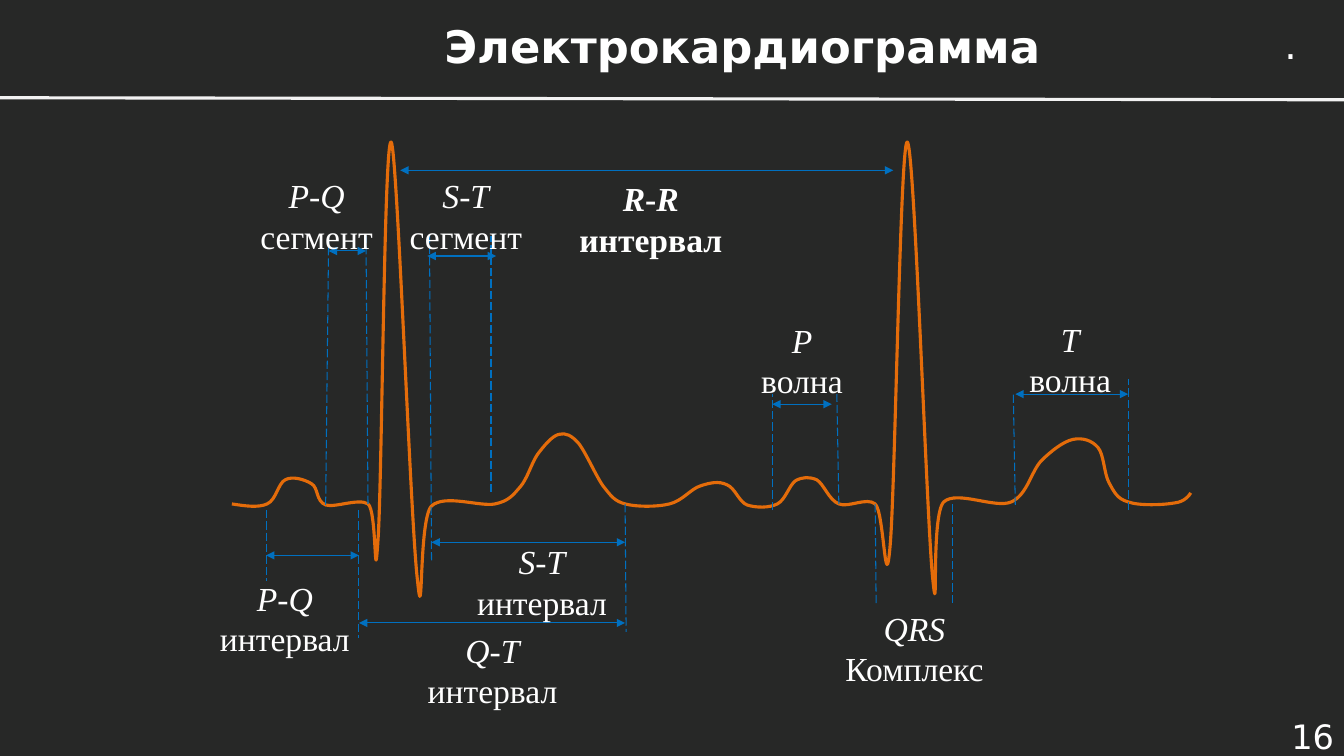
from typing import NamedTuple

from lxml.etree import SubElement
from pptx import Presentation
from pptx.dml.color import RGBColor
from pptx.enum.dml import MSO_LINE
from pptx.enum.shapes import MSO_CONNECTOR
from pptx.enum.text import MSO_ANCHOR, PP_ALIGN
from pptx.oxml.ns import qn
from pptx.shapes.shapetree import GroupShapes, SlideShapes
from pptx.util import Emu, Pt

PX = 9144  # 100 px to the inch

DARK = RGBColor(0x27, 0x28, 0x27)
WHITE = RGBColor(0xFF, 0xFF, 0xFF)
PALE = RGBColor(0xF2, 0xF2, 0xF2)
BLUE = RGBColor(0x00, 0x70, 0xC0)
ORANGE = RGBColor(0xE4, 0x6C, 0x0A)

SANS = "DejaVu Sans"
SERIF = "Times New Roman"


class Box(NamedTuple):
    left: int
    top: int
    width: int
    height: int


class Label(NamedTuple):
    left: int
    top: int
    width: int
    sign: str
    word: str
    bold: bool = False


class Span(NamedTuple):
    left: int
    right: int
    y: int


class Guide(NamedTuple):
    x1: int
    y1: int
    x2: int
    y2: int


class Curve(NamedTuple):
    """Two control points, then the end point."""
    ax: int
    ay: int
    bx: int
    by: int
    x: int
    y: int


START = (230, 500)
WAVE = [Curve(*row) for row in (
    # first beat
    (243, 502, 256, 504, 265, 500), (274, 496, 276, 479, 283, 476),
    (290, 472, 303, 476, 309, 480), (316, 484, 313, 497, 323, 501),
    (332, 504, 356, 494, 365, 500), (374, 506, 371, 595, 375, 535),
    (379, 475, 381, 134, 388, 141), (394, 148, 407, 515, 414, 575),
    (420, 635, 415, 515, 428, 502), (441, 490, 476, 503, 491, 500),
    (505, 497, 509, 491, 516, 483), (523, 475, 527, 460, 533, 451),
    (539, 443, 547, 433, 554, 431), (561, 429, 567, 432, 574, 440),
    (581, 449, 591, 472, 598, 482), (606, 492, 609, 497, 620, 500),
    # pause
    (631, 503, 652, 503, 664, 500), (677, 497, 685, 485, 695, 482),
    (704, 479, 713, 477, 721, 481), (729, 484, 733, 498, 741, 501),
    (750, 504, 763, 504, 771, 500),
    # second beat
    (779, 496, 783, 481, 789, 477), (796, 473, 803, 473, 810, 476),
    (817, 480, 822, 496, 832, 500), (841, 504, 860, 493, 868, 500),
    (877, 507, 878, 600, 883, 540), (888, 481, 893, 135, 900, 141),
    (907, 146, 919, 513, 925, 573), (931, 632, 923, 511, 936, 498),
    (949, 486, 987, 505, 1003, 498), (1019, 491, 1023, 467, 1033, 457),
    (1043, 447, 1055, 438, 1064, 436), (1074, 434, 1083, 437, 1089, 444),
    (1095, 451, 1095, 470, 1100, 479), (1105, 488, 1108, 495, 1119, 498),
    (1130, 502, 1154, 501, 1165, 499), (1175, 498, 1180, 491, 1181, 489),
)]

GUIDES = [
    Guide(264, 506, 264, 576), Guide(323, 501, 326, 234),
    Guide(365, 500, 363, 234), Guide(356, 506, 356, 633),
    Guide(428, 556, 426, 234), Guide(487, 488, 487, 234),
    Guide(620, 500, 621, 627), Guide(766, 506, 766, 391),
    Guide(832, 500, 830, 391), Guide(868, 500, 869, 600),
    Guide(945, 500, 945, 600), Guide(1007, 501, 1005, 391),
    Guide(1119, 506, 1119, 376),
]

SPANS = [
    Span(397, 886, 169), Span(1007, 1119, 391), Span(766, 825, 401),
    Span(356, 620, 618), Span(264, 356, 551), Span(326, 363, 249),
    Span(424, 492, 254), Span(428, 620, 538),
]

LABELS = [
    Label(567, 172, 157, "*R*-*R*", "интервал", True),
    Label(459, 532, 157, "*S*-*T*", "интервал"),
    Label(410, 620, 157, "*Q-T*", "интервал"),
    Label(204, 568, 157, "*P-Q*", "интервал"),
    Label(739, 312, 113, "*P*", "волна"),
    Label(1005, 311, 113, "*T*", "волна"),
    Label(823, 598, 168, "*QRS*", "Комплекс"),
    Label(388, 169, 148, "*S-T*", "сегмент"),
    Label(240, 169, 148, "*P-Q*", "сегмент"),
]


def write(shapes: SlideShapes | GroupShapes, box: Box, *lines: str,
          size: int = 24, font: str = SANS, bold: bool = False,
          align: PP_ALIGN = PP_ALIGN.CENTER, pad: int = 10,
          anchor: MSO_ANCHOR = MSO_ANCHOR.TOP, wrap: bool = False) -> None:
    """Add a text box, one paragraph a line; parts between asterisks are italic."""
    frame = shapes.add_textbox(*(Emu(n * PX) for n in box)).text_frame
    frame.word_wrap = wrap
    frame.vertical_anchor = anchor
    frame.margin_left = frame.margin_right = Emu(pad * PX)
    for i, line in enumerate(lines):
        para = frame.add_paragraph() if i else frame.paragraphs[0]
        para.alignment = align
        for j, part in enumerate(line.split("*")):
            if not part:
                continue
            run = para.add_run()
            run.text = part
            run.font.name = font
            run.font.size = Pt(size)
            run.font.bold = bold
            run.font.italic = j % 2 == 1
            run.font.color.rgb = WHITE


def rule(shapes: SlideShapes | GroupShapes, ends: Guide, color: RGBColor,
         width: float, dash: bool = False, heads: bool = False) -> None:
    link = shapes.add_connector(MSO_CONNECTOR.STRAIGHT,
                                *(Emu(n * PX) for n in ends))
    link.line.color.rgb = color
    link.line.width = Pt(width)
    if dash:
        link.line.dash_style = MSO_LINE.LONG_DASH
    if heads:
        for tag in ("a:headEnd", "a:tailEnd"):
            SubElement(link.line._get_or_add_ln(), qn(tag), type="triangle")
    SubElement(link._element.spPr, qn("a:effectLst"))


def trace(shapes: GroupShapes, start: tuple[int, int], wave: list[Curve]) -> None:
    """Draw the wave as an open outline and bend each side into a Bézier curve."""
    ends = [(c.x, c.y) for c in wave]
    pen = shapes.build_freeform(*start, scale=PX)
    pen.add_line_segments(ends, close=False)
    shape = pen.convert_to_shape()
    left = min(x for x, _ in [start, *ends])
    top = min(y for _, y in [start, *ends])
    sides = list(shape._element.iter(qn("a:lnTo")))
    for side, c in zip(sides, wave):
        side.tag = qn("a:cubicBezTo")
        for i, (x, y) in enumerate([(c.ax, c.ay), (c.bx, c.by)]):
            point = SubElement(side, qn("a:pt"), x=str(x - left), y=str(y - top))
            side.insert(i, point)
    shape.shadow.inherit = False
    shape.fill.background()
    shape.line.color.rgb = ORANGE
    shape.line.width = Pt(2.25)


def main() -> None:
    deck = Presentation()
    deck.slide_width, deck.slide_height = Emu(1333 * PX), Emu(750 * PX)
    slide = deck.slides.add_slide(deck.slide_layouts[6])
    slide.background.fill.solid()
    slide.background.fill.fore_color.rgb = DARK
    shapes = slide.shapes

    write(shapes, Box(1229, 709, 104, 42), "16", align=PP_ALIGN.RIGHT,
          anchor=MSO_ANCHOR.MIDDLE, wrap=True)
    write(shapes, Box(344, 19, 785, 53), "Электрокардиограмма", size=32,
          bold=True, anchor=MSO_ANCHOR.MIDDLE, wrap=True)
    rule(shapes, Guide(0, 97, 1333, 99), PALE, 2.25)
    write(shapes, Box(1264, 15, 34, 57), ".", size=28, align=PP_ALIGN.LEFT)

    chart = shapes.add_group_shape().shapes
    trace(chart, START, WAVE)
    for guide in GUIDES:
        rule(chart, guide, BLUE, 0.75, dash=True)
    for span in SPANS:
        rule(chart, Guide(span.left, span.y, span.right, span.y), BLUE, 0.75,
             heads=True)
    for label in LABELS:
        write(chart, Box(label.left, label.top, label.width, 79), label.sign,
              label.word, font=SERIF, bold=label.bold, pad=0)

    deck.save("out.pptx")


if __name__ == "__main__":
    main()
